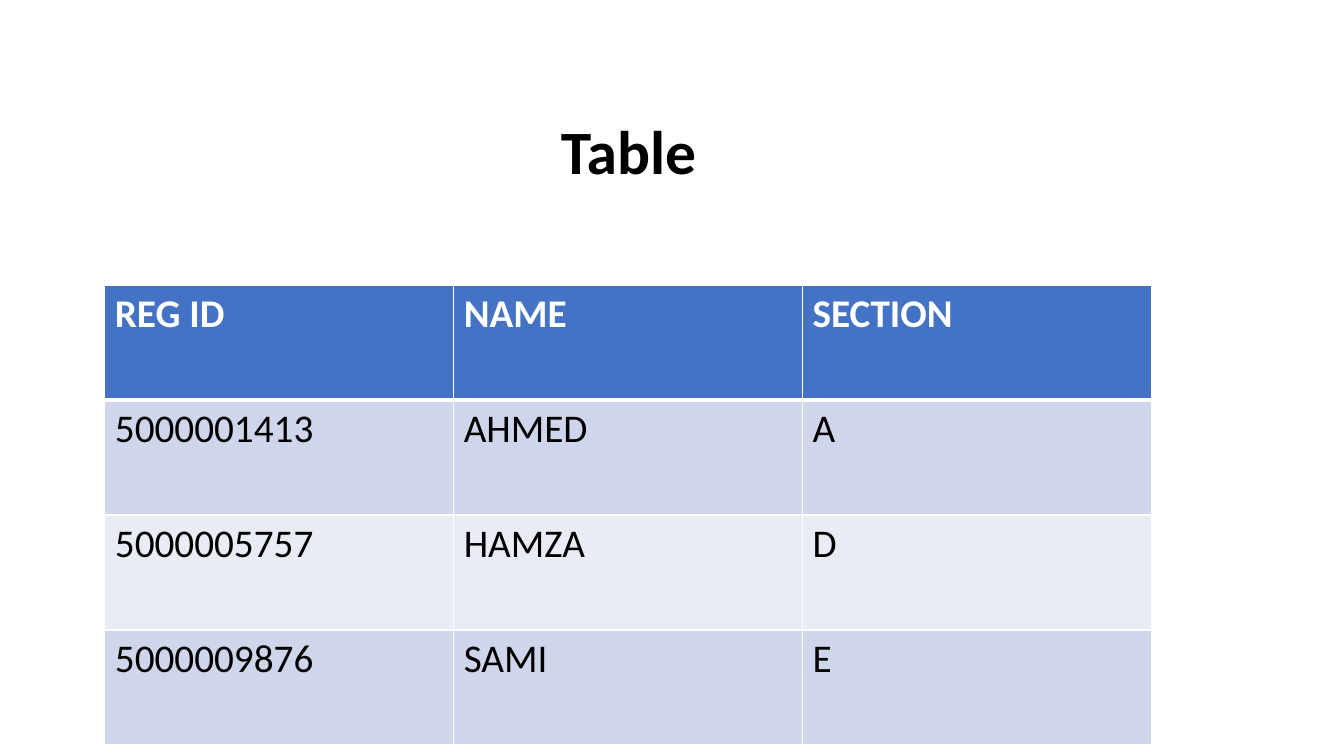
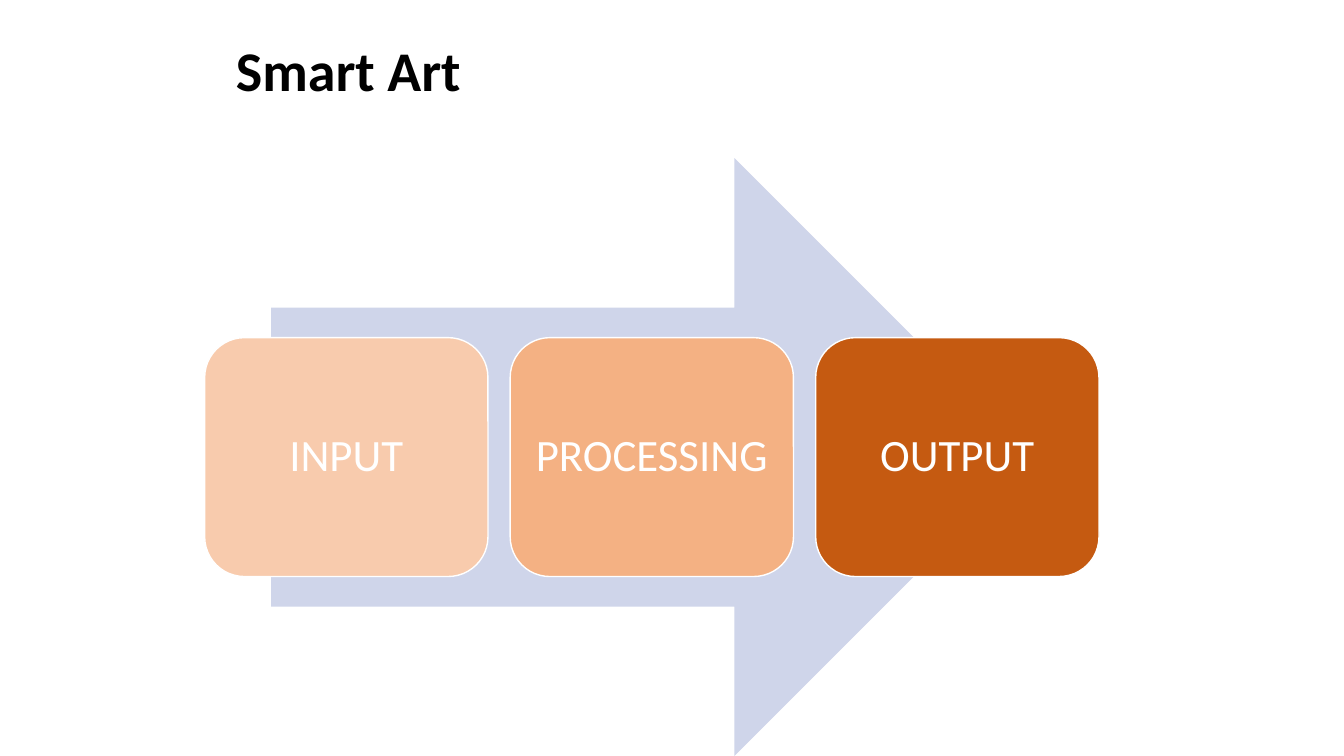
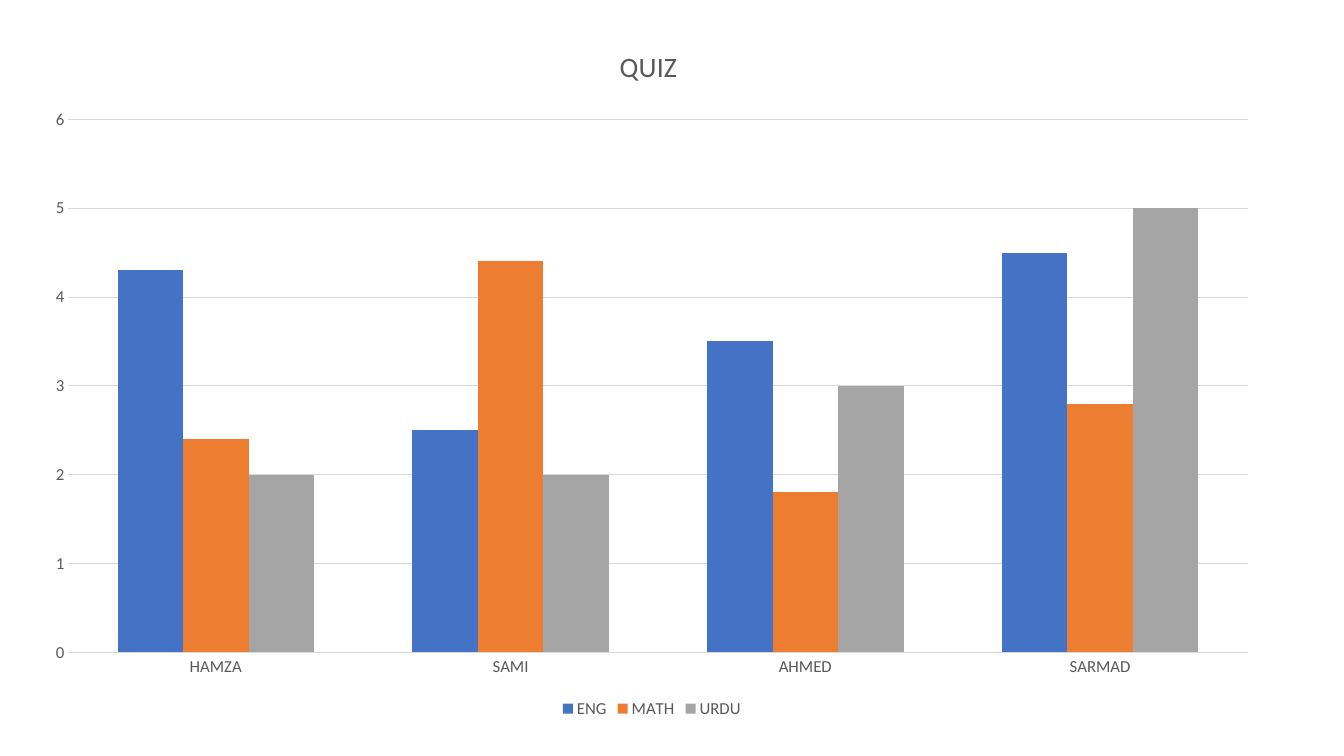
from lxml.etree import SubElement
from pptx import Presentation
from pptx.chart.data import CategoryChartData
from pptx.dml.color import RGBColor
from pptx.enum.chart import XL_CHART_TYPE, XL_LEGEND_POSITION, XL_TICK_MARK
from pptx.enum.shapes import MSO_SHAPE
from pptx.enum.text import MSO_ANCHOR, MSO_AUTO_SIZE, PP_ALIGN
from pptx.oxml import parse_xml
from pptx.oxml.ns import nsdecls, qn
from pptx.util import Pt

PX = 9144
FONT = "Calibri"
WHITE, BLACK, GREY, RULE = "FFFFFF", "000000", "595959", "D9D9D9"
BLUE, PALE, LIGHT = "4472C4", "CFD5EA", "E9EBF5"
TITLE_ONLY, BLANK = 5, 6


def px(*values):
    """Turn px lengths into EMU."""
    return [value * PX for value in values]


def rgb(code):
    """Turn a hex string into a colour."""
    return RGBColor.from_string(code)


def apply(target, values):
    """Set each named attribute on the target."""
    for name, value in values.items():
        setattr(target, name, value)


def style(font, size, color, bold=False):
    """Format a font."""
    apply(font, {"name": FONT, "size": Pt(size), "bold": bold})
    font.color.rgb = rgb(color)


def paint(target, color):
    """Give a solid fill."""
    target.fill.solid()
    target.fill.fore_color.rgb = rgb(color)


def add_title(slide, text, box, size, align):
    """Move and format the title placeholder."""
    title = slide.shapes.title
    apply(title, dict(zip(("left", "top", "width", "height"), px(*box))))
    frame = title.text_frame
    frame.text = text
    apply(frame, {"word_wrap": True, "auto_size": MSO_AUTO_SIZE.NONE,
                  "vertical_anchor": MSO_ANCHOR.TOP})
    line = frame.paragraphs[0]
    line.alignment = align
    style(line.font, size, BLACK, True)


def add_form(slide, kind, box, fill, edge=None):
    """Add a filled preset shape."""
    shape = slide.shapes.add_shape(kind, *px(*box))
    shape.shadow.inherit = False
    paint(shape, fill)
    if edge:
        shape.line.color.rgb = rgb(edge)
        shape.line.width = Pt(1)
    else:
        shape.line.fill.background()
    return shape


def add_step(slide, text, box, fill):
    """Add a rounded step with its label."""
    frame = add_form(slide, MSO_SHAPE.ROUNDED_RECTANGLE, box, fill, WHITE).text_frame
    frame.text = text
    inset = px(13)[0]
    apply(frame, {"word_wrap": True, "vertical_anchor": MSO_ANCHOR.MIDDLE,
                  "margin_left": inset, "margin_right": inset,
                  "margin_top": inset, "margin_bottom": inset})
    line = frame.paragraphs[0]
    apply(line, {"alignment": PP_ALIGN.CENTER, "line_spacing": 0.9})
    style(line.font, 32, WHITE)


def add_edges(cell, top, bottom):
    """Draw white borders around a cell."""
    props = cell._tc.get_or_add_tcPr()
    widths = {"lnL": 1, "lnR": 1, "lnT": top, "lnB": bottom}
    for index, (tag, width) in enumerate(widths.items()):
        props.insert(index, parse_xml(
            f'<a:{tag} {nsdecls("a")} w="{Pt(width)}"><a:solidFill>'
            f'<a:srgbClr val="{WHITE}"/></a:solidFill></a:{tag}>'))


def add_grid(slide, rows, left, top, wide, high):
    """Add a table with a header and banded rows."""
    count = len(rows[0])
    table = slide.shapes.add_table(
        len(rows), count, *px(left, top, wide * count, high * len(rows))).table
    for r, row in enumerate(rows):
        head = r == 0
        fill = BLUE if head else PALE if r % 2 else LIGHT
        for c, text in enumerate(row):
            cell = table.cell(r, c)
            cell.text = text
            paint(cell, fill)
            style(cell.text_frame.paragraphs[0].font, 28, WHITE if head else BLACK, head)
            add_edges(cell, 3 if r == 1 else 1, 3 if head else 1)


def place(node, index, **parts):
    """Set a manual chart layout as fractions of the chart."""
    for old in node.findall(qn("c:layout")):
        node.remove(old)
    layout = parse_xml(f'<c:layout {nsdecls("c")}><c:manualLayout/></c:layout>')
    if "w" in parts:
        SubElement(layout[0], qn("c:layoutTarget"), val="inner")
    for name in ("x", "y"):
        SubElement(layout[0], qn(f"c:{name}Mode"), val="edge")
    for name, value in parts.items():
        SubElement(layout[0], qn(f"c:{name}"), val=str(value))
    node.insert(index, layout)


def add_bars(slide, title, cats, series, box):
    """Add a clustered column chart."""
    data = CategoryChartData()
    data.categories = cats
    for name, (color, values) in series.items():
        data.add_series(name, values)
    chart = slide.shapes.add_chart(
        XL_CHART_TYPE.COLUMN_CLUSTERED, *px(*box), data).chart
    style(chart.font, 12, GREY)
    chart.has_title = True
    frame = chart.chart_title.text_frame
    frame.text = title
    style(frame.paragraphs[0].runs[0].font, 20, GREY)
    place(chart.chart_title._element, 1, x=0.47, y=0.03)
    place(chart._chartSpace.chart.plotArea, 0, x=0.03, y=0.14, w=0.95, h=0.76)
    chart.has_legend = True
    apply(chart.legend, {"position": XL_LEGEND_POSITION.BOTTOM, "include_in_layout": False})
    style(chart.legend.font, 12, GREY)
    plot = chart.plots[0]
    apply(plot, {"gap_width": 150, "overlap": 0, "vary_by_categories": False})
    for bar, (color, values) in zip(plot.series, series.values()):
        paint(bar.format, color)
    for axis in (chart.category_axis, chart.value_axis):
        apply(axis, {"major_tick_mark": XL_TICK_MARK.NONE,
                     "minor_tick_mark": XL_TICK_MARK.NONE})
        axis.format.line.fill.background()
        style(axis.tick_labels.font, 12, GREY)
    apply(chart.value_axis, {"minimum_scale": 0, "maximum_scale": 6, "major_unit": 1,
                             "has_major_gridlines": True})
    rule = chart.value_axis.major_gridlines.format.line
    rule.color.rgb = rgb(RULE)
    rule.width = Pt(0.75)


def main():
    """Build and save the slides."""
    deck = Presentation()
    deck.slide_width, deck.slide_height = px(1333, 750)
    first, second, third = [deck.slides.add_slide(deck.slide_layouts[kind])
                            for kind in (TITLE_ONLY, TITLE_ONLY, BLANK)]

    add_title(first, "Table", (243, 107, 761, 84), 44, PP_ALIGN.CENTER)
    add_grid(first, [("REG ID", "NAME", "SECTION"),
                     ("5000001413", "AHMED", "A"),
                     ("5000005757", "HAMZA", "D"),
                     ("5000009876", "SAMI", "E")], 104, 283, 346, 114)

    add_title(second, "Smart Art", (224, 30, 772, 77), 40, PP_ALIGN.LEFT)
    add_form(second, MSO_SHAPE.RIGHT_ARROW, (269, 157, 756, 593), PALE)
    steps = {"INPUT": "F8CBAD", "PROCESSING": "F4B183", "OUTPUT": "C55A11"}
    for index, (text, fill) in enumerate(steps.items()):
        add_step(second, text, (203 + 303 * index, 335, 281, 237), fill)

    add_bars(third, "QUIZ", ("HAMZA", "SAMI", "AHMED", "SARMAD"),
             {"ENG": (BLUE, (4.3, 2.5, 3.5, 4.5)),
              "MATH": ("ED7D31", (2.4, 4.4, 1.8, 2.8)),
              "URDU": ("A5A5A5", (2, 2, 3, 5))}, (31, 21, 1231, 696))
    deck.save("out.pptx")


if __name__ == "__main__":
    main()
